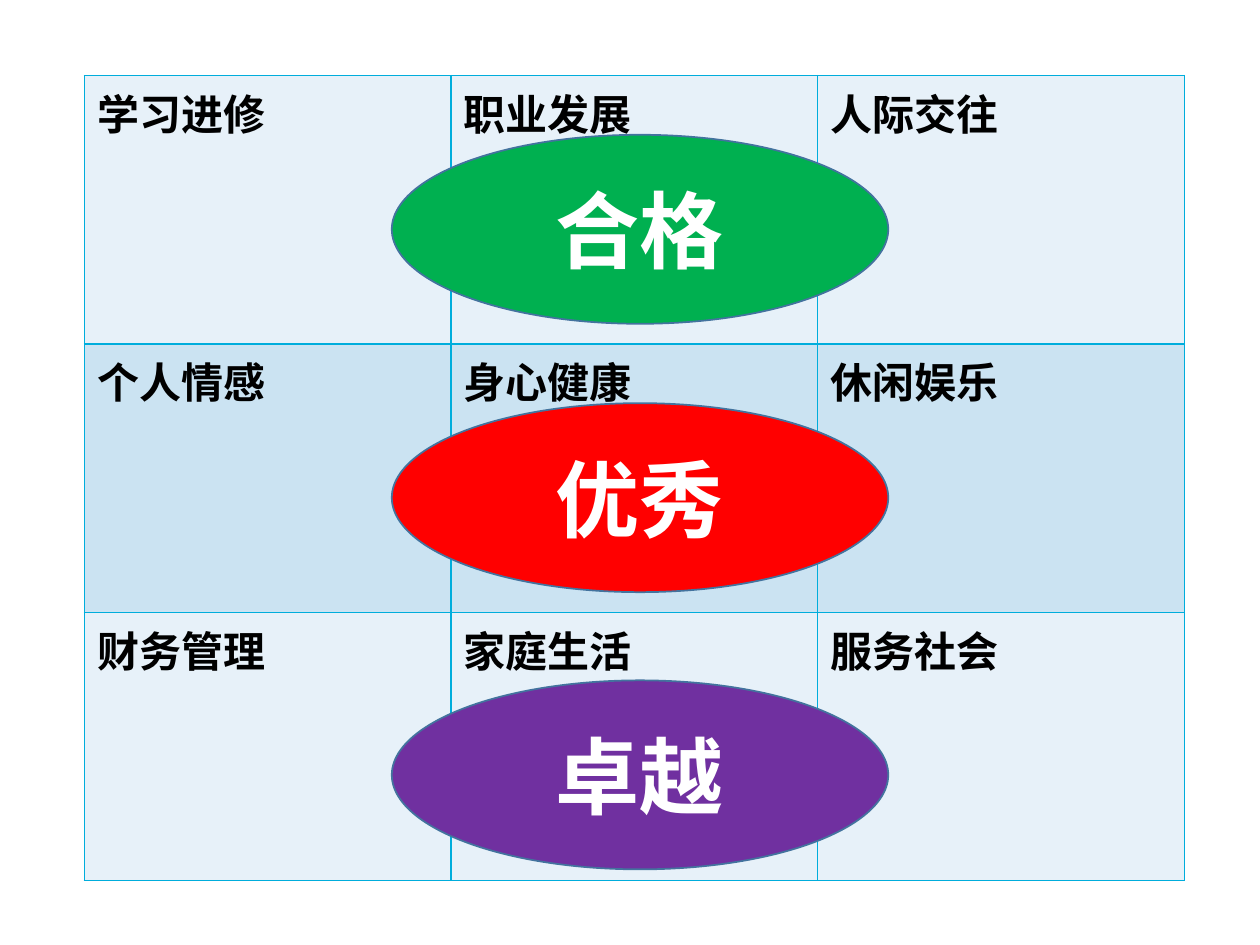
from dataclasses import dataclass

from lxml.etree import SubElement
from pptx import Presentation
from pptx.dml.color import RGBColor
from pptx.enum.shapes import MSO_SHAPE
from pptx.enum.text import MSO_ANCHOR, PP_ALIGN
from pptx.oxml import parse_xml
from pptx.oxml.ns import nsdecls, qn
from pptx.util import Inches, Pt


@dataclass(frozen=True)
class Theme:
    font: str = "Noto Sans CJK SC"
    background: str = "FFFFFF"
    cell_text: str = "000000"
    level_text: str = "FFFFFF"
    row_fills: tuple = ("E7F1F9", "CBE3F2")
    border: str = "00ADDC"
    outline: str = "43739E"
    cell_size: int = 24
    level_size: int = 48
    line_width: int = 1


THEME = Theme()

LIFE_AREAS = [
    ["学习进修", "职业发展", "人际交往"],
    ["个人情感", "身心健康", "休闲娱乐"],
    ["财务管理", "家庭生活", "服务社会"],
]

# Label, fill and top of each level
LEVELS = [
    ("合格", "00B050", 1.07),
    ("优秀", "FF0000", 3.2),
    ("卓越", "7030A0", 5.4),
]


def paint(fill, color):
    fill.solid()
    fill.fore_color.rgb = RGBColor.from_string(color)


def add_bold_run(paragraph, text, size, color):
    run = paragraph.add_run()
    run.text = text
    run.font.size = Pt(size)
    run.font.bold = True
    run.font.name = THEME.font
    run.font.color.rgb = RGBColor.from_string(color)
    # Chinese characters take the East Asian typeface
    SubElement(run.font._element, qn("a:ea"), typeface=THEME.font)


def set_borders(cell):
    properties = cell._tc.get_or_add_tcPr()
    for position, side in enumerate(("lnL", "lnR", "lnT", "lnB")):
        border = parse_xml(
            f'<a:{side} {nsdecls("a")} w="{Pt(THEME.line_width)}"><a:solidFill>'
            f'<a:srgbClr val="{THEME.border}"/></a:solidFill></a:{side}>'
        )
        properties.insert(position, border)


def add_area_table(slide, rows, left, top, column_width, row_height):
    row_count, column_count = len(rows), len(rows[0])
    table = slide.shapes.add_table(
        row_count, column_count, Inches(left), Inches(top),
        Inches(column_width * column_count), Inches(row_height * row_count),
    ).table
    for row_index, row in enumerate(rows):
        for column_index, text in enumerate(row):
            cell = table.cell(row_index, column_index)
            paint(cell.fill, THEME.row_fills[row_index % 2])
            set_borders(cell)
            add_bold_run(cell.text_frame.paragraphs[0], text,
                         THEME.cell_size, THEME.cell_text)


def add_level(slide, text, color, top):
    ellipse = slide.shapes.add_shape(
        MSO_SHAPE.OVAL, Inches(3.11), Inches(top), Inches(3.94), Inches(1.5))
    ellipse.shadow.inherit = False
    paint(ellipse.fill, color)
    paint(ellipse.line.fill, THEME.outline)
    ellipse.line.width = Pt(THEME.line_width)
    ellipse.text_frame.vertical_anchor = MSO_ANCHOR.MIDDLE
    paragraph = ellipse.text_frame.paragraphs[0]
    paragraph.alignment = PP_ALIGN.CENTER
    add_bold_run(paragraph, text, THEME.level_size, THEME.level_text)


def main():
    presentation = Presentation()
    presentation.slide_width = Inches(10)
    presentation.slide_height = Inches(7.5)
    slide = presentation.slides.add_slide(presentation.slide_layouts[6])
    paint(slide.background.fill, THEME.background)

    # Nine areas of life
    add_area_table(slide, LIFE_AREAS, left=0.67, top=0.6,
                   column_width=2.91, row_height=2.13)

    # One level over each row
    for text, color, top in LEVELS:
        add_level(slide, text, color, top)

    presentation.save("out.pptx")


if __name__ == "__main__":
    main()
